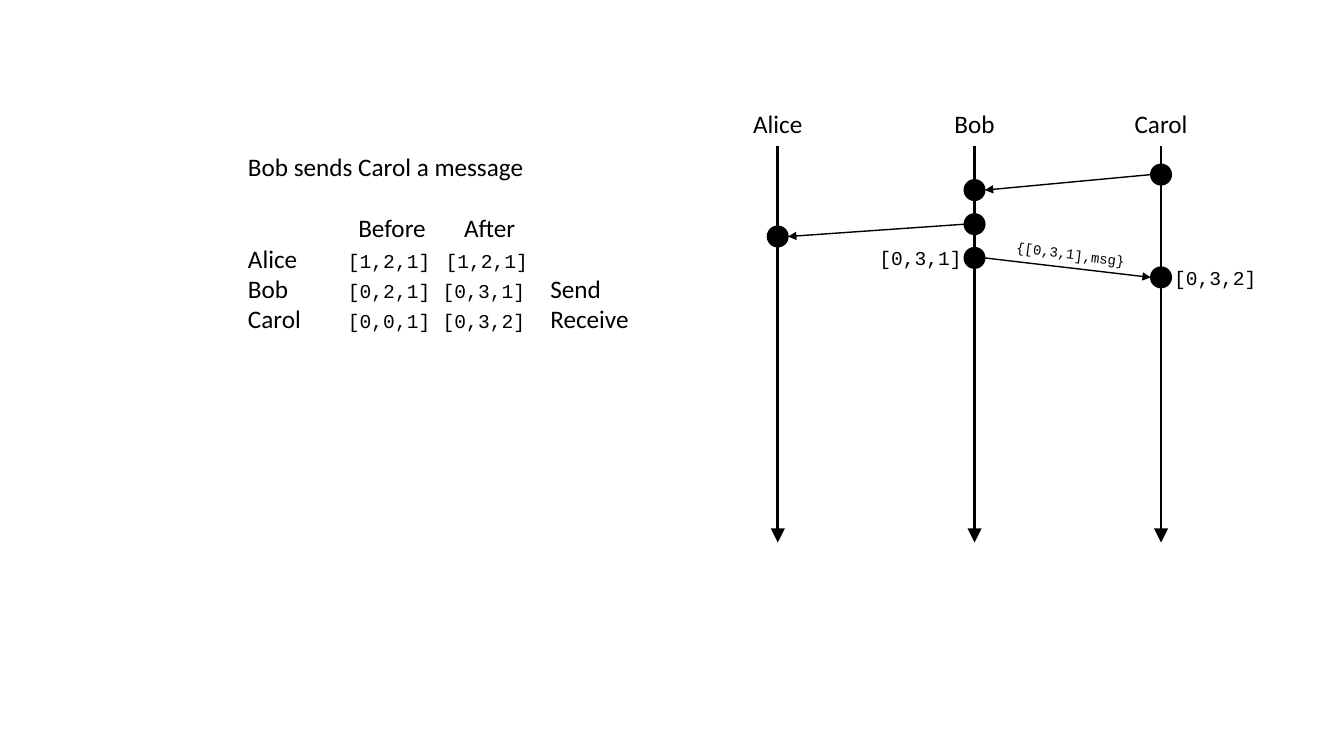
from lxml import etree
from pptx import Presentation
from pptx.dml.color import RGBColor
from pptx.enum.shapes import MSO_CONNECTOR, MSO_SHAPE
from pptx.enum.text import MSO_ANCHOR, MSO_AUTO_SIZE, PP_ALIGN
from pptx.oxml.ns import qn
from pptx.util import Cm, Pt

STRAIGHT = MSO_CONNECTOR.STRAIGHT
OVAL = MSO_SHAPE.OVAL
FIT = MSO_AUTO_SIZE.SHAPE_TO_FIT_TEXT
TOP, MIDDLE = MSO_ANCHOR.TOP, MSO_ANCHOR.MIDDLE
CENTER = PP_ALIGN.CENTER

COLORS = {"ink": "000000"}
BODY = ("Calibri", 18)
CLOCK = ("Courier New", 14)
MESSAGE = ("Courier New", 10)

# Each paragraph: (space before in points, runs of (text, style))
TITLE = "Bob sends Carol a message"
STEPS = [
    (0, [(TITLE, BODY)]),
    (22, [("\t Before\t After", BODY)]),
    (0, [("Alice", BODY), ("\t[1,2,1]\t[1,2,1]", CLOCK)]),
    (0, [("Bob", BODY), ("\t[0,2,1]\t[0,3,1]", CLOCK), (" \tSend", BODY)]),
    (0, [("Carol", BODY), ("\t[0,0,1]\t[0,3,2]", CLOCK), (" \tReceive", BODY)]),
]
TAB_STOPS = (3.56, 6.02)

# Lengths in cm
LIFELINES = {"Alice": 19.6, "Bob": 24.56, "Carol": 29.26}
LINE_TOP, LINE_BOTTOM = 3.68, 13.67
NAME_Y, NAME_WIDTH, NAME_HEIGHT = 3.11, 2.4, 1.02
DOT = 0.52

# (sender, time sent, receiver, time received)
MESSAGES = [
    ("Carol", 4.4, "Bob", 4.79),
    ("Bob", 5.65, "Alice", 5.96),
    ("Bob", 6.5, "Carol", 6.99),
]
# (text, style, centre x, centre y, width, height, rotation)
LABELS = [
    ("[0,3,1]", CLOCK, 23.2, 6.49, 2.8, 0.86, 0),
    ("[0,3,2]", CLOCK, 30.63, 6.99, 2.8, 0.86, 0),
    ("{[0,3,1],msg}", MESSAGE, 26.98, 6.4, 3.5, 0.69, 7.2),
]


def ink():
    return RGBColor.from_string(COLORS["ink"])


def add_run(p, text, style):
    r = p.add_run()
    r.text = text
    r.font.name, size = style
    r.font.size = Pt(size)
    r.font.color.rgb = ink()


def add_label(s, text, style, x, y, width, height, rotation=0):
    """Add one unwrapped line of text centred on (x, y)."""
    box = s.shapes.add_textbox(Cm(x - width / 2), Cm(y - height / 2),
                               Cm(width), Cm(height))
    box.rotation = rotation
    tf = box.text_frame
    tf.word_wrap = False
    tf.auto_size = FIT
    tf.vertical_anchor = MIDDLE
    p = tf.paragraphs[0]
    p.alignment = CENTER
    add_run(p, text, style)


def add_arrow(s, x1, y1, x2, y2, weight, head):
    """Draw an arrow; head is its arrowhead size, "med" or "lg"."""
    line = s.shapes.add_connector(STRAIGHT, Cm(x1), Cm(y1), Cm(x2), Cm(y2))
    line.line.color.rgb = ink()
    line.line.width = Pt(weight)
    etree.SubElement(line.line._get_or_add_ln(), qn("a:tailEnd"),
                     type="triangle", w=head, len=head)
    etree.SubElement(line._element.spPr, qn("a:effectLst"))


def add_dot(s, x, y):
    dot = s.shapes.add_shape(OVAL, Cm(x - DOT / 2), Cm(y - DOT / 2), Cm(DOT), Cm(DOT))
    dot.shadow.inherit = False
    dot.fill.solid()
    dot.fill.fore_color.rgb = ink()
    dot.line.color.rgb = ink()
    dot.line.width = Pt(1)


def add_steps(s):
    tf = s.shapes.add_textbox(Cm(6), Cm(3.7), Cm(12), Cm(4.88)).text_frame
    tf.word_wrap = True
    tf.auto_size = FIT
    tf.vertical_anchor = TOP
    for i, (space, runs) in enumerate(STEPS):
        p = tf.paragraphs[0] if i == 0 else tf.add_paragraph()
        p.space_before = Pt(space)
        tabs = etree.SubElement(p._p.get_or_add_pPr(), qn("a:tabLst"))
        for stop in TAB_STOPS:
            etree.SubElement(tabs, qn("a:tab"), pos=str(int(Cm(stop))), algn="ctr")
        for text, style in runs:
            add_run(p, text, style)


def add_diagram(s):
    for name, x in LIFELINES.items():
        add_label(s, name, BODY, x, NAME_Y, NAME_WIDTH, NAME_HEIGHT)
        add_arrow(s, x, LINE_TOP, x, LINE_BOTTOM, 2, "lg")
    for sender, sent, receiver, received in MESSAGES:
        x1, x2 = LIFELINES[sender], LIFELINES[receiver]
        gap = DOT / 2 if x2 > x1 else -DOT / 2
        add_arrow(s, x1 + gap, sent, x2 - gap, received, 1, "med")
        add_dot(s, x1, sent)
        add_dot(s, x2, received)
    for label in LABELS:
        add_label(s, *label)


def main():
    prs = Presentation()
    prs.slide_width, prs.slide_height = Cm(33.87), Cm(19.05)
    s = prs.slides.add_slide(prs.slide_layouts[6])
    add_steps(s)
    add_diagram(s)
    prs.save("out.pptx")


if __name__ == "__main__":
    main()
